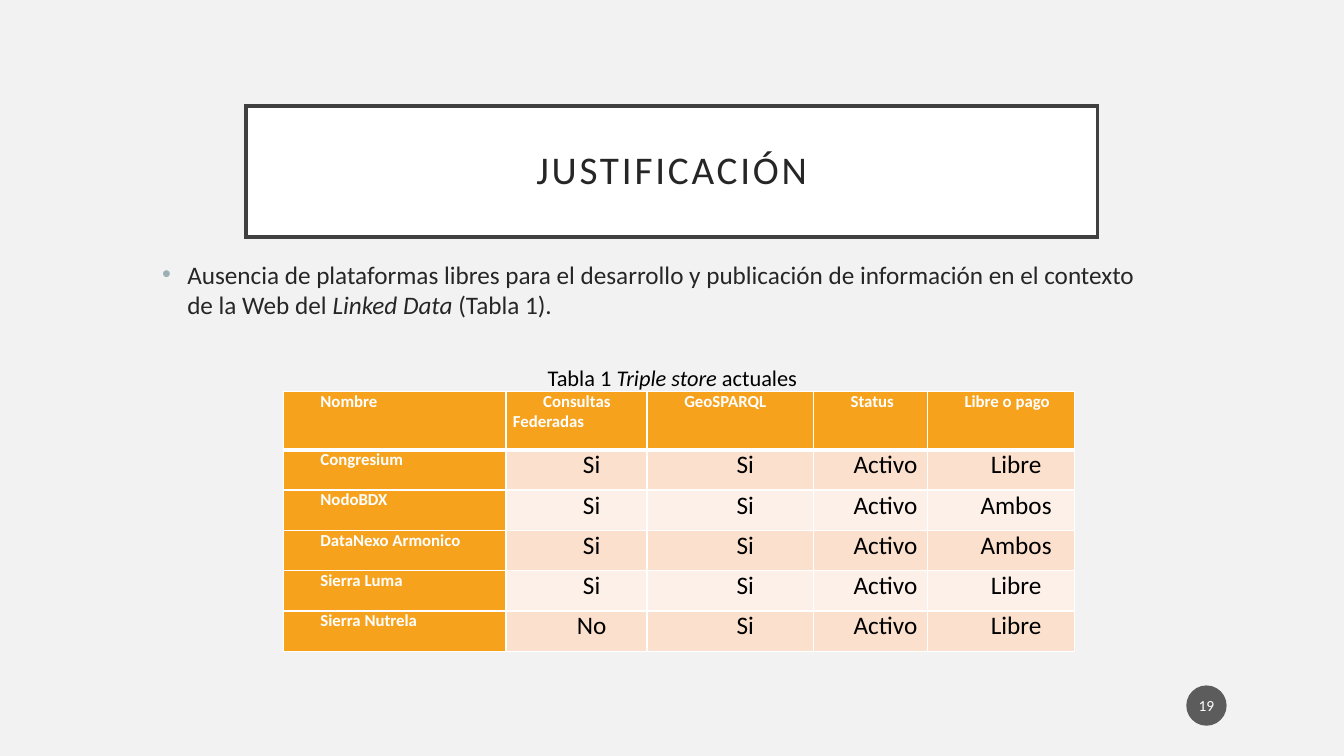
"""Builds the slide that justifies the project with a table of triple stores."""
from dataclasses import dataclass

from lxml import etree
from pptx import Presentation
from pptx.dml.color import RGBColor
from pptx.enum.shapes import MSO_SHAPE
from pptx.enum.text import MSO_ANCHOR, MSO_AUTO_SIZE, PP_ALIGN
from pptx.oxml.ns import qn
from pptx.shapes.autoshape import Shape
from pptx.slide import Slide
from pptx.table import _Cell
from pptx.text.text import TextFrame, _Paragraph
from pptx.util import Pt

RECTANGLE, ELLIPSE = MSO_SHAPE.RECTANGLE, MSO_SHAPE.OVAL
LEFT, CENTER, JUSTIFY = PP_ALIGN.LEFT, PP_ALIGN.CENTER, PP_ALIGN.JUSTIFY
TOP, MIDDLE = MSO_ANCHOR.TOP, MSO_ANCHOR.MIDDLE
GROW = MSO_AUTO_SIZE.SHAPE_TO_FIT_TEXT

FONT = "Calibri"
COLORS = {
    "background": "F2F2F2",
    "white": "FFFFFF",
    "black": "000000",
    "text": "262626",
    "frame": "404040",
    "badge": "1D1D1D",
    "bullet": "9BAFB5",
    "header": "F6A21D",
    "odd_row": "FBE0CD",
    "even_row": "FDF0E8",
}
TABLE_LEFT, TABLE_TOP = 202.3, 279.4
COLUMN_WIDTHS = (159.1, 100.8, 118.8, 81.4, 105.3)
HEADER_HEIGHT, ROW_HEIGHT = 41.8, 28.8
CELL_MARGIN, CELL_INDENT = 5, 21.6
THIN_BORDER, THICK_BORDER = 1, 3
STORES = (
    ("Nombre", "Consultas Federadas", "GeoSPARQL", "Status", "Libre o pago"),
    ("Congresium", "Si", "Si", "Activo", "Libre"),
    ("NodoBDX", "Si", "Si", "Activo", "Ambos"),
    ("DataNexo Armonico", "Si", "Si", "Activo", "Ambos"),
    ("Sierra Luma", "Si", "Si", "Activo", "Libre"),
    ("Sierra Nutrela", "No", "Si", "Activo", "Libre"),
)


@dataclass(frozen=True)
class Area:
    left: float
    top: float
    width: float
    height: float

    def lengths(self) -> tuple[Pt, Pt, Pt, Pt]:
        return Pt(self.left), Pt(self.top), Pt(self.width), Pt(self.height)


@dataclass(frozen=True)
class Style:
    size: float
    color: str
    align: PP_ALIGN = CENTER
    bold: bool = False


@dataclass(frozen=True)
class Span:
    text: str
    italic: bool = False


TITLE = Style(28, "text")
BODY = Style(18, "text", LEFT)
CAPTION = Style(16, "black")
BADGE = Style(11, "white")
HEADING = Style(12, "white", JUSTIFY, True)
VALUE = Style(18, "black")


def color(name: str) -> RGBColor:
    return RGBColor.from_string(COLORS[name])


def write(frame: TextFrame, spans: list[Span], style: Style) -> _Paragraph:
    para = frame.paragraphs[0]
    para.alignment = style.align
    for span in spans:
        run = para.add_run()
        run.text = span.text
        run.font.name = FONT
        run.font.size = Pt(style.size)
        run.font.bold = style.bold
        run.font.italic = span.italic
        run.font.color.rgb = color(style.color)
    return para


def set_indent(para: _Paragraph, margin: float, first_line: float) -> None:
    properties = para._p.get_or_add_pPr()
    properties.set("marL", str(Pt(margin)))
    properties.set("indent", str(Pt(first_line)))


def add_bullet(para: _Paragraph) -> None:
    properties = para._p.get_or_add_pPr()
    bullet_color = etree.SubElement(properties, qn("a:buClr"))
    etree.SubElement(bullet_color, qn("a:srgbClr"), val=COLORS["bullet"])
    etree.SubElement(properties, qn("a:buFont"), typeface="Arial")
    etree.SubElement(properties, qn("a:buChar"), char="•")


def add_panel(page: Slide, kind: MSO_SHAPE, area: Area, fill: str,
              margins: tuple[float, float]) -> Shape:
    panel = page.shapes.add_shape(kind, *area.lengths())
    panel.shadow.inherit = False
    panel.fill.solid()
    panel.fill.fore_color.rgb = color(fill)
    frame = panel.text_frame
    frame.word_wrap = True
    frame.vertical_anchor = MIDDLE
    frame.margin_left = frame.margin_right = Pt(margins[0])
    frame.margin_top = frame.margin_bottom = Pt(margins[1])
    return panel


def add_text(page: Slide, area: Area, spans: list[Span], style: Style) -> Shape:
    box = page.shapes.add_textbox(*area.lengths())
    box.text_frame.word_wrap = True
    write(box.text_frame, spans, style)
    return box


def add_title(page: Slide) -> None:
    panel = add_panel(page, RECTANGLE, Area(175.7, 75.6, 608.4, 93.6), "white", (14.4, 14.4))
    panel.line.color.rgb = color("frame")
    panel.line.width = Pt(2.5)
    etree.SubElement(panel.line._get_or_add_ln(), qn("a:miter"), lim="800000")
    para = write(panel.text_frame, [Span("JUSTIFICACIÓN")], TITLE)
    para.line_spacing = 0.9
    para.runs[0].font._element.set("spc", "200")


def add_page_number(page: Slide) -> None:
    panel = add_panel(page, ELLIPSE, Area(847.4, 489.6, 28.8, 28.8), "badge", (1.4, 3.6))
    panel.line.fill.background()
    fill_color = panel._element.spPr.find(qn("a:solidFill")).find(qn("a:srgbClr"))
    etree.SubElement(fill_color, qn("a:alpha"), val="70000")
    write(panel.text_frame, [Span("19")], BADGE)


def set_borders(cell: _Cell, top: float, bottom: float) -> None:
    properties = cell._tc.get_or_add_tcPr()
    widths = {"a:lnL": THIN_BORDER, "a:lnR": THIN_BORDER, "a:lnT": top, "a:lnB": bottom}
    for tag, width in widths.items():
        line = etree.SubElement(properties, qn(tag), w=str(Pt(width)))
        fill = etree.SubElement(line, qn("a:solidFill"))
        etree.SubElement(fill, qn("a:srgbClr"), val=COLORS["white"])


def fill_cell(cell: _Cell, text: str, row: int, column: int) -> None:
    is_heading = row == 0 or column == 0
    cell.margin_left = cell.margin_right = Pt(CELL_MARGIN)
    cell.margin_top = cell.margin_bottom = Pt(0)
    cell.vertical_anchor = TOP
    set_borders(cell, THICK_BORDER if row == 1 else THIN_BORDER,
                THICK_BORDER if row == 0 else THIN_BORDER)
    cell.fill.solid()
    band = "odd_row" if row % 2 else "even_row"
    cell.fill.fore_color.rgb = color("header" if is_heading else band)
    para = write(cell.text_frame, [Span(text)], HEADING if is_heading else VALUE)
    set_indent(para, 0, CELL_INDENT)


def add_store_table(page: Slide) -> None:
    heights = [HEADER_HEIGHT] + [ROW_HEIGHT] * (len(STORES) - 1)
    area = Area(TABLE_LEFT, TABLE_TOP, sum(COLUMN_WIDTHS), sum(heights))
    table = page.shapes.add_table(len(STORES), len(COLUMN_WIDTHS), *area.lengths()).table
    for column, width in enumerate(COLUMN_WIDTHS):
        table.columns[column].width = Pt(width)
    for row, (height, texts) in enumerate(zip(heights, STORES)):
        table.rows[row].height = Pt(height)
        for column, text in enumerate(texts):
            fill_cell(table.cell(row, column), text, row, column)


def main() -> None:
    deck = Presentation()
    deck.slide_width, deck.slide_height = Pt(960), Pt(540)
    page = deck.slides.add_slide(deck.slide_layouts[6])
    page.background.fill.solid()
    page.background.fill.fore_color.rgb = color("background")
    add_title(page)
    add_page_number(page)
    add_store_table(page)
    caption = [Span("Tabla 1 "), Span("Triple store ", True), Span("actuales")]
    add_text(page, Area(378, 256.3, 204.5, 26.6), caption, CAPTION).text_frame.auto_size = GROW
    reason = [Span("Ausencia de plataformas libres para el desarrollo y publicación de "
                   "información en el contexto de la Web del "),
              Span("Linked Data ", True), Span("(Tabla 1).")]
    body = add_text(page, Area(108.7, 181.4, 717.1, 203.8), reason, BODY)
    para = body.text_frame.paragraphs[0]
    para.space_before = Pt(10)
    set_indent(para, 18, -18)
    add_bullet(para)
    deck.save("out.pptx")


if __name__ == "__main__":
    main()
